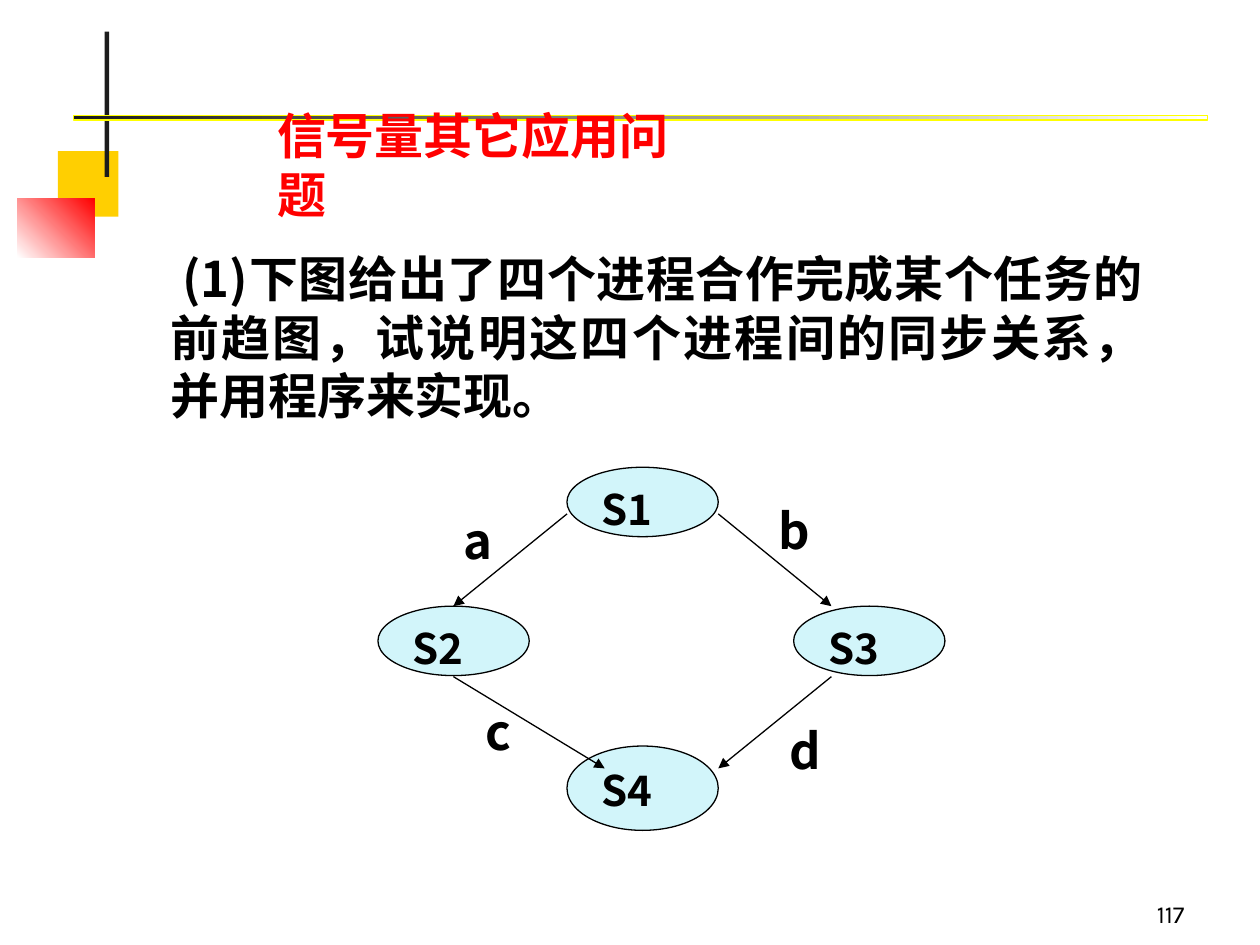
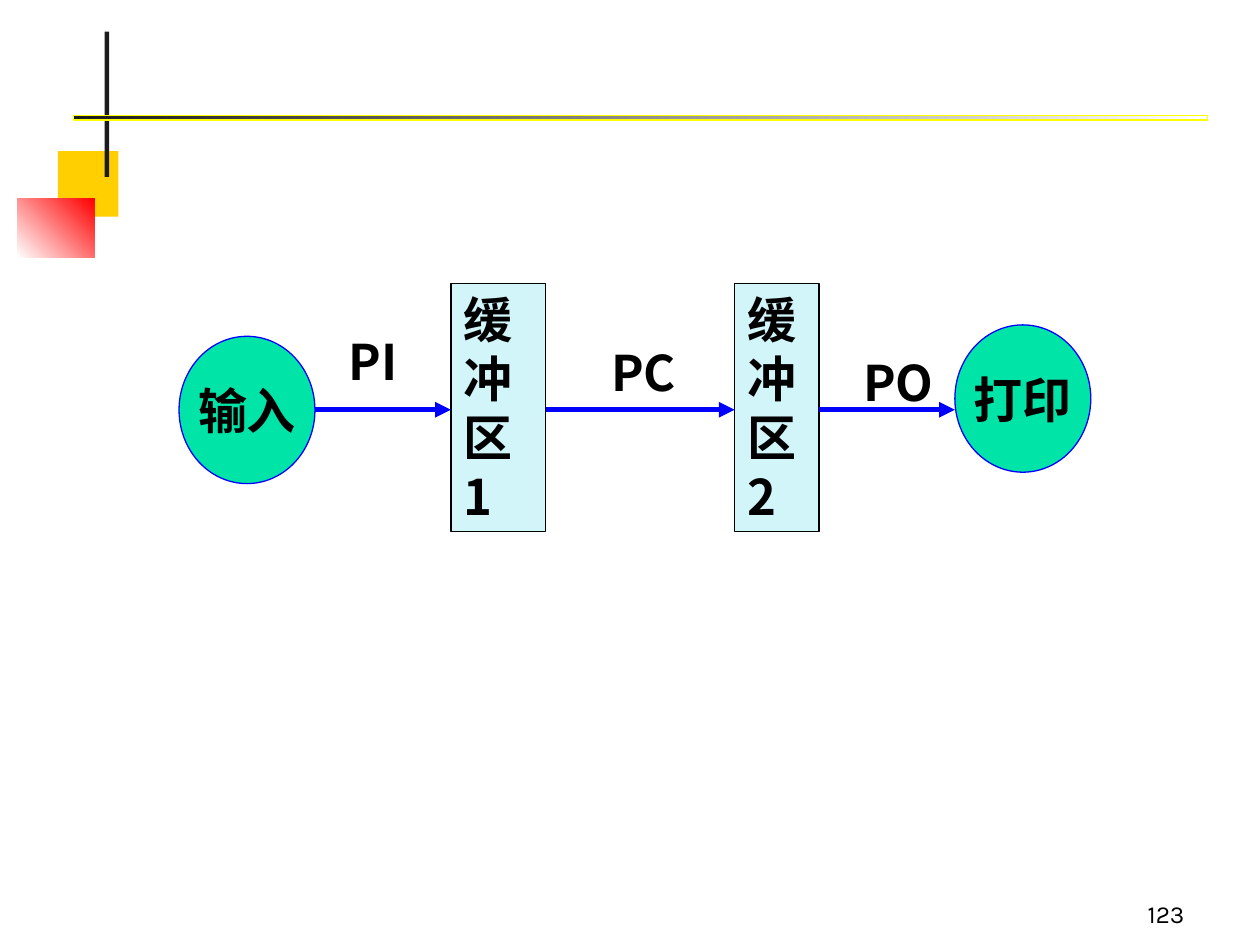
import itertools

import lxml.etree
import pptx
import pptx.dml.color
import pptx.enum.shapes
import pptx.enum.text
import pptx.oxml.ns
import pptx.util

Cm = pptx.util.Cm
Pt = pptx.util.Pt
SHAPE = pptx.enum.shapes.MSO_SHAPE
ALIGN = pptx.enum.text.PP_ALIGN
ANCHOR = pptx.enum.text.MSO_ANCHOR

BLACK, INK, WHITE = "000000", "1C1C1C", "FFFFFF"
RED, GOLD, YELLOW = "FF0000", "FFCF01", "FFFF00"
PALE, GREEN, BLUE = "D2F5FA", "00E4A8", "0000FF"
MAIN_FONT, TITLE_FONT, NUMBER_FONT = "Noto Sans CJK SC", "Roboto Condensed", "Karla"
TITLE_AND_BODY, BLANK = 1, 6


def color(value):
    return pptx.dml.color.RGBColor.from_string(value)


def add_child(parent, tag, **attributes):
    return lxml.etree.SubElement(parent, pptx.oxml.ns.qn(tag), attributes)


class Painter:
    def __init__(self, deck):
        self.deck = deck
        self.page = None

    def start(self, layout, number):
        """Add a page with the shared corner decoration and its number."""
        self.page = self.deck.slides.add_slide(self.deck.slide_layouts[layout])
        self.shape(SHAPE.RECTANGLE, 1.17, 3.05, 1.22, 1.32, GOLD)
        self.gradient(0.35, 4.01, 1.56, 1.18, WHITE, RED, 45)
        self.shape(SHAPE.RECTANGLE, 2.11, 0.64, 0.09, 2.93, INK)
        self.gradient(1.48, 2.33, 22.86, 0.09, INK, WHITE, 0, YELLOW)
        self.label(number, 18.85, 17.58, 5.28, 1.27, size=14, font=NUMBER_FONT,
                   bold=False, align=ALIGN.RIGHT, anchor=ANCHOR.BOTTOM)

    def shape(self, kind, left, top, width, height, fill=None, line=None):
        box = self.page.shapes.add_shape(kind, Cm(left), Cm(top), Cm(width), Cm(height))
        box.shadow.inherit = False
        if fill:
            box.fill.solid()
            box.fill.fore_color.rgb = color(fill)
        if line:
            box.line.color.rgb = color(line)
            box.line.width = Pt(0.75)
        else:
            box.line.fill.background()
        return box

    def gradient(self, left, top, width, height, first, last, angle, line=None):
        box = self.shape(SHAPE.RECTANGLE, left, top, width, height, line=line)
        box.fill.gradient()
        box.fill.gradient_angle = angle
        for stop, value in zip(box.fill.gradient_stops, (first, last)):
            stop.color.rgb = color(value)

    def style(self, span, size, ink, font, bold):
        span.font.size = Pt(size)
        span.font.bold = bold
        span.font.color.rgb = color(ink)
        span.font.name = font
        east_font = NUMBER_FONT if font == NUMBER_FONT else MAIN_FONT
        add_child(span.font._element, "a:ea", typeface=east_font)

    def fill_text(self, box, text, size=28, ink=BLACK, font=MAIN_FONT, bold=True,
                  align=ALIGN.LEFT, anchor=ANCHOR.TOP, wrap=True):
        frame = box.text_frame
        frame.text = text
        frame.auto_size = pptx.enum.text.MSO_AUTO_SIZE.NONE
        frame.word_wrap = wrap
        frame.vertical_anchor = anchor
        para = frame.paragraphs[0]
        para.alignment = align
        para.space_before = Pt(0)
        if font == MAIN_FONT:
            para.line_spacing = Pt(size * 1.2)
        for span in para.runs:
            self.style(span, size, ink, font, bold)
        return para

    def label(self, text, left, top, width, height=1.45, **style):
        box = self.page.shapes.add_textbox(Cm(left), Cm(top), Cm(width), Cm(height))
        self.fill_text(box, text, **style)

    def place(self, index, left, top, width, height):
        """Move a placeholder and bring it in front of the decoration."""
        box = self.page.placeholders[index]
        box.left, box.top, box.width, box.height = Cm(left), Cm(top), Cm(width), Cm(height)
        self.page.shapes.element.append(box.element)
        return box

    def title(self, text, ending):
        box = self.place(0, 5.33, 2.01, 9.37, 1.45)
        para = self.fill_text(box, text, ink=RED, wrap=False)
        span = para.add_run()
        span.text = ending
        self.style(span, 28, RED, TITLE_FONT, True)

    def body(self, text):
        box = self.place(1, 3.18, 4.88, 20.12, 3.81)
        para = self.fill_text(box, text, align=ALIGN.JUSTIFY)
        properties = para._p.get_or_add_pPr()
        properties.set("marL", "0")
        properties.set("indent", "0")
        add_child(properties, "a:buNone")

    def arrow(self, start, end, ink=BLACK, width=0.75):
        line = self.page.shapes.add_connector(
            pptx.enum.shapes.MSO_CONNECTOR.STRAIGHT, *map(Cm, start + end))
        line.line.color.rgb = color(ink)
        line.line.width = Pt(width)
        add_child(line.line._get_or_add_ln(), "a:tailEnd", type="triangle")
        add_child(line.element.spPr, "a:effectLst")


def precedence_page(painter):
    painter.start(TITLE_AND_BODY, "117")
    painter.title("信号量其它应用", "问题")
    painter.body(" (1)下图给出了四个进程合作完成某个任务的前趋图，"
                 "试说明这四个进程间的同步关系，并用程序来实现。")
    processes = [("S3", 16, 12.22, 1.4), ("S1", 11.43, 9.42, 1.4),
                 ("S2", 7.62, 12.22, 1.4), ("S4", 11.43, 15.04, 1.7)]
    for name, left, top, height in processes:
        oval = painter.shape(SHAPE.OVAL, left, top, 3.05, height, PALE, BLACK)
        painter.fill_text(oval, name, size=24, align=ALIGN.JUSTIFY)
    painter.arrow((11.43, 10.36), (9.14, 12.22))
    painter.arrow((14.48, 10.36), (16.76, 12.22))
    painter.arrow((9.14, 13.64), (12.19, 15.49))
    painter.arrow((16.76, 13.64), (14.48, 15.49))
    for name, left, top in [("a", 9.09, 10.16), ("b", 15.44, 9.96),
                            ("c", 9.53, 14.02), ("d", 15.67, 14.4)]:
        painter.label(name, left, top, 1.27)


def buffer_page(painter):
    painter.start(BLANK, "123")
    buffers = [("缓冲区1", 9.09, 1.91), ("缓冲区2", 14.81, 1.7)]
    for name, left, width in buffers:
        box = painter.shape(SHAPE.RECTANGLE, left, 5.72, width, 5, PALE, BLACK)
        painter.fill_text(box, name)
    devices = [("输入", 3.61, 6.78), ("打印", 19.25, 6.55)]
    for name, left, top in devices:
        oval = painter.shape(SHAPE.OVAL, left, top, 2.74, 2.97, GREEN, BLUE)
        painter.fill_text(oval, name, align=ALIGN.CENTER, anchor=ANCHOR.MIDDLE, wrap=False)

    stations = sorted([(left, left + width) for _, left, width in buffers]
                      + [(left, left + 2.74) for _, left, _ in devices])
    for (_, start), (end, _) in itertools.pairwise(stations):
        painter.arrow((start, 8.26), (end, 8.26), BLUE, 3)
    for name, left, top, width in [("PI", 6.78, 6.55, 1.7), ("PC", 12.07, 6.78, 1.91),
                                   ("PO", 17.15, 6.99, 2.34)]:
        painter.label(name, left, top, width)


def main():
    deck = pptx.Presentation()
    deck.slide_width, deck.slide_height = Cm(25.4), Cm(19.05)
    painter = Painter(deck)
    precedence_page(painter)
    buffer_page(painter)
    deck.save("out.pptx")


if __name__ == "__main__":
    main()
